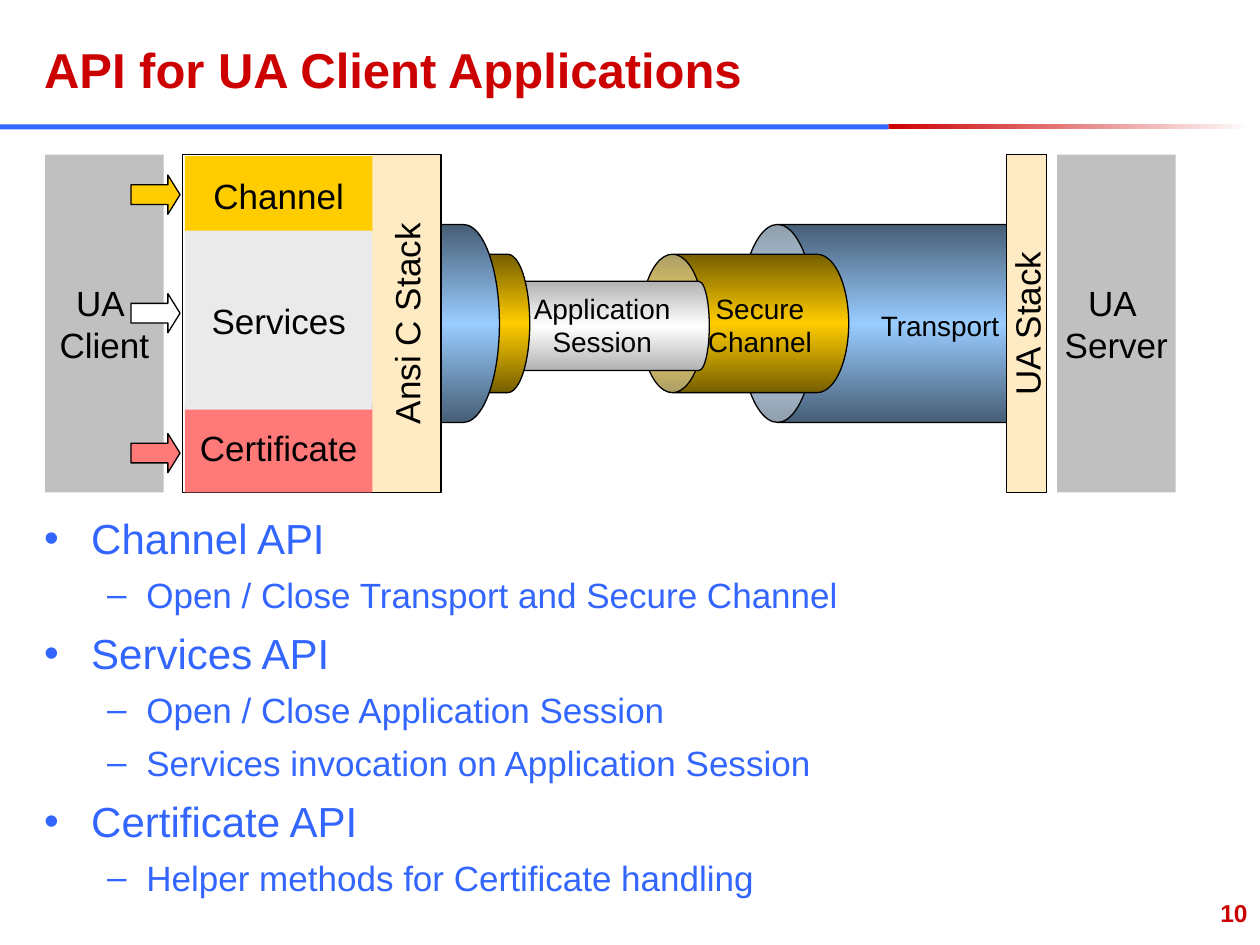
from pptx import Presentation
from pptx.dml.color import RGBColor
from pptx.enum.shapes import MSO_SHAPE
from pptx.enum.text import MSO_ANCHOR, PP_ALIGN
from pptx.oxml.ns import qn
from pptx.util import Cm, Pt
from lxml import etree

RECT, CAN, ARROW = MSO_SHAPE.RECTANGLE, MSO_SHAPE.CAN, MSO_SHAPE.RIGHT_ARROW
LEFT, CENTER, RIGHT = PP_ALIGN.LEFT, PP_ALIGN.CENTER, PP_ALIGN.RIGHT
TOP, MIDDLE, BOTTOM = MSO_ANCHOR.TOP, MSO_ANCHOR.MIDDLE, MSO_ANCHOR.BOTTOM

COLORS = {
    "red": "CC0000", "blue": "3366FF", "black": "000000", "white": "FFFFFF",
    "party": "C0C0C0", "stack": "FFEBC3",
    "channel": "FFCC00", "services": "EAEAEA", "certificate": "FF7979",
    "steel": "465E75", "sky": "99CCFF", "bronze": "755E00", "silver": "B2B2B2",
}
TRANSPORT = ("steel", "sky", "steel")
SECURE = ("bronze", "channel", "bronze")
SESSION = ("silver", "white", "silver")

# Shared lines of the diagram, in cm
DIAGRAM_TOP, DIAGRAM_HEIGHT = 3.12, 6.81
PIPE_MIDDLE = 6.52

API_LIST = [
    (0, "Channel API"),
    (1, "Open / Close Transport and Secure Channel"),
    (0, "Services API"),
    (1, "Open / Close Application Session"),
    (1, "Services invocation on Application Session"),
    (0, "Certificate API"),
    (1, "Helper methods for Certificate handling"),
]
# Per level: text size, bullet, left margin and hanging indent in cm, space before
LEVELS = [(24, "•", 0.95, 0.95, 7), (20, "–", 2.06, 0.79, 6)]


def rgb(name):
    return RGBColor.from_string(COLORS[name])


def box(left, top, width, height):
    return Cm(left), Cm(top), Cm(width), Cm(height)


def write(frame, *lines, size=20, color="black", bold=False, align=CENTER,
          anchor=MIDDLE, wrap=False):
    """Put each line in its own paragraph and return the paragraphs."""
    frame.word_wrap = wrap
    frame.vertical_anchor = anchor
    for number, line in enumerate(lines):
        paragraph = frame.add_paragraph() if number else frame.paragraphs[0]
        paragraph.alignment = align
        run = paragraph.add_run()
        run.text = line
        run.font.name = "Arial"
        run.font.size = Pt(size)
        run.font.bold = bold
        run.font.color.rgb = rgb(color)
    return frame.paragraphs


def add_label(slide, area, *lines, **style):
    frame = slide.shapes.add_textbox(*box(*area)).text_frame
    return write(frame, *lines, **style)


def add_block(slide, kind, area, fill=None, outlined=False):
    block = slide.shapes.add_shape(kind, *box(*area))
    block.shadow.inherit = False
    if fill:
        block.fill.solid()
        block.fill.fore_color.rgb = rgb(fill)
    else:
        block.fill.background()
    if outlined:
        block.line.color.rgb = rgb("black")
        block.line.width = Pt(0.75)
    else:
        block.line.fill.background()
    return block


def shade(block, names):
    """Replace the fill by a gradient with evenly spaced stops."""
    properties = block.fill._xPr
    properties.remove(properties.find(qn("a:noFill")))
    gradient = etree.Element(qn("a:gradFill"), rotWithShape="1")
    stops = etree.SubElement(gradient, qn("a:gsLst"))
    for number, name in enumerate(names):
        position = str(100000 * number // (len(names) - 1))
        stop = etree.SubElement(stops, qn("a:gs"), pos=position)
        etree.SubElement(stop, qn("a:srgbClr"), val=COLORS[name])
    etree.SubElement(gradient, qn("a:lin"), ang="0", scaled="0")
    properties.find(qn("a:prstGeom")).addnext(gradient)


def add_pipe(slide, left, length, diameter, rim, colors, middle=PIPE_MIDDLE):
    """Lay a can on its side, with the lid to the left."""
    area = (left + (length - diameter) / 2, middle - length / 2, diameter, length)
    pipe = add_block(slide, CAN, area, outlined=True)
    pipe.rotation = 270
    pipe.adjustments[0] = rim
    shade(pipe, colors)


def add_column(slide, left, width, fill, *lines, upright=False, outlined=False):
    column = add_block(slide, RECT, (left, DIAGRAM_TOP, width, DIAGRAM_HEIGHT),
                       fill, outlined)
    write(column.text_frame, *lines)
    if upright:
        column.text_frame._txBody.bodyPr.set("vert", "vert270")


def add_api_list(slide):
    frame = slide.shapes.add_textbox(*box(0.64, 10.21, 24.13, 7.92)).text_frame
    paragraphs = write(frame, *(line for _, line in API_LIST), color="blue",
                       align=LEFT, anchor=TOP, wrap=True)
    for number, (level, _) in enumerate(API_LIST):
        size, bullet, margin, hanging, gap = LEVELS[level]
        paragraph = paragraphs[number]
        paragraph.level = level
        paragraph.space_before = Pt(gap if number else 0)
        paragraph.runs[0].font.size = Pt(size)
        properties = paragraph._p.get_or_add_pPr()
        properties.set("marL", str(Cm(margin)))
        properties.set("indent", str(-Cm(hanging)))
        etree.SubElement(properties, qn("a:buFont"), typeface="Arial")
        etree.SubElement(properties, qn("a:buChar"), char=bullet)


def add_pipes(slide):
    add_pipe(slide, 14.91, 7.19, 3.99, 0.383, TRANSPORT)
    add_pipe(slide, 12.92, 4.19, 2.79, 0.457, SECURE)
    add_pipe(slide, 8.69, 5.61, 1.8, 0.233, SESSION, middle=6.57)
    add_pipe(slide, 6.49, 4.19, 2.79, 0.318, SECURE)
    add_pipe(slide, 4.69, 5.38, 3.99, 0.364, TRANSPORT)
    # White covers over the hidden pipe ends
    for left, width in ((20.29, 3.4), (3.89, 5)):
        add_block(slide, RECT, (left, 4.32, width, 4.39), "white")
    for left, width, lines in ((10.34, 3.6, ("Application", "Session")),
                               (13.82, 3, ("Secure", "Channel")),
                               (17.45, 3, ("Transport",))):
        add_label(slide, (left, 5.75, width, 1.6), *lines, size=16)


def add_client_api(slide):
    add_block(slide, RECT, (3.68, DIAGRAM_TOP, 5.21, DIAGRAM_HEIGHT), outlined=True)
    for name, top, height in (("Channel", 3.15, 1.57), ("Certificate", 8.13, 1.8),
                              ("Services", 4.65, 3.61)):
        part = add_block(slide, RECT, (3.73, top, 3.78, height), name.lower())
        write(part.text_frame, name)
    for top, fill in ((3.53, "channel"), (5.92, "white"), (8.74, "certificate")):
        arrow = add_block(slide, ARROW, (2.64, top, 0.99, 0.79), fill, outlined=True)
        arrow.adjustments[0] = 0.5
        arrow.adjustments[1] = 0.31


def main():
    deck = Presentation()
    deck.slide_width, deck.slide_height = Cm(25.4), Cm(19.05)
    slide = deck.slides.add_slide(deck.slide_layouts[6])

    # Title and rule
    shade(add_block(slide, RECT, (17.91, 2.51, 7.32, 0.1)), ("red", "white"))
    add_block(slide, RECT, (0, 2.51, 17.91, 0.1), "blue")
    add_label(slide, (0.64, 0.64, 17.35, 1.47), "API for UA Client Applications",
              size=28, color="red", bold=True, align=LEFT, anchor=BOTTOM, wrap=True)

    add_api_list(slide)

    # Diagram, from back to front
    add_column(slide, 0.91, 2.39, "party", "UA ", "Client")
    add_pipes(slide)
    add_column(slide, 7.49, 1.4, "stack", "Ansi C Stack", upright=True)
    add_column(slide, 20.29, 0.81, "stack", "UA Stack", upright=True, outlined=True)
    add_column(slide, 21.31, 2.39, "party", "UA ", "Server")
    add_client_api(slide)

    # Slide number
    add_label(slide, (20.12, 17.98, 5.28, 1.07), "10", size=14, color="red",
              bold=True, align=RIGHT, anchor=TOP, wrap=True)
    deck.save("out.pptx")


if __name__ == "__main__":
    main()
